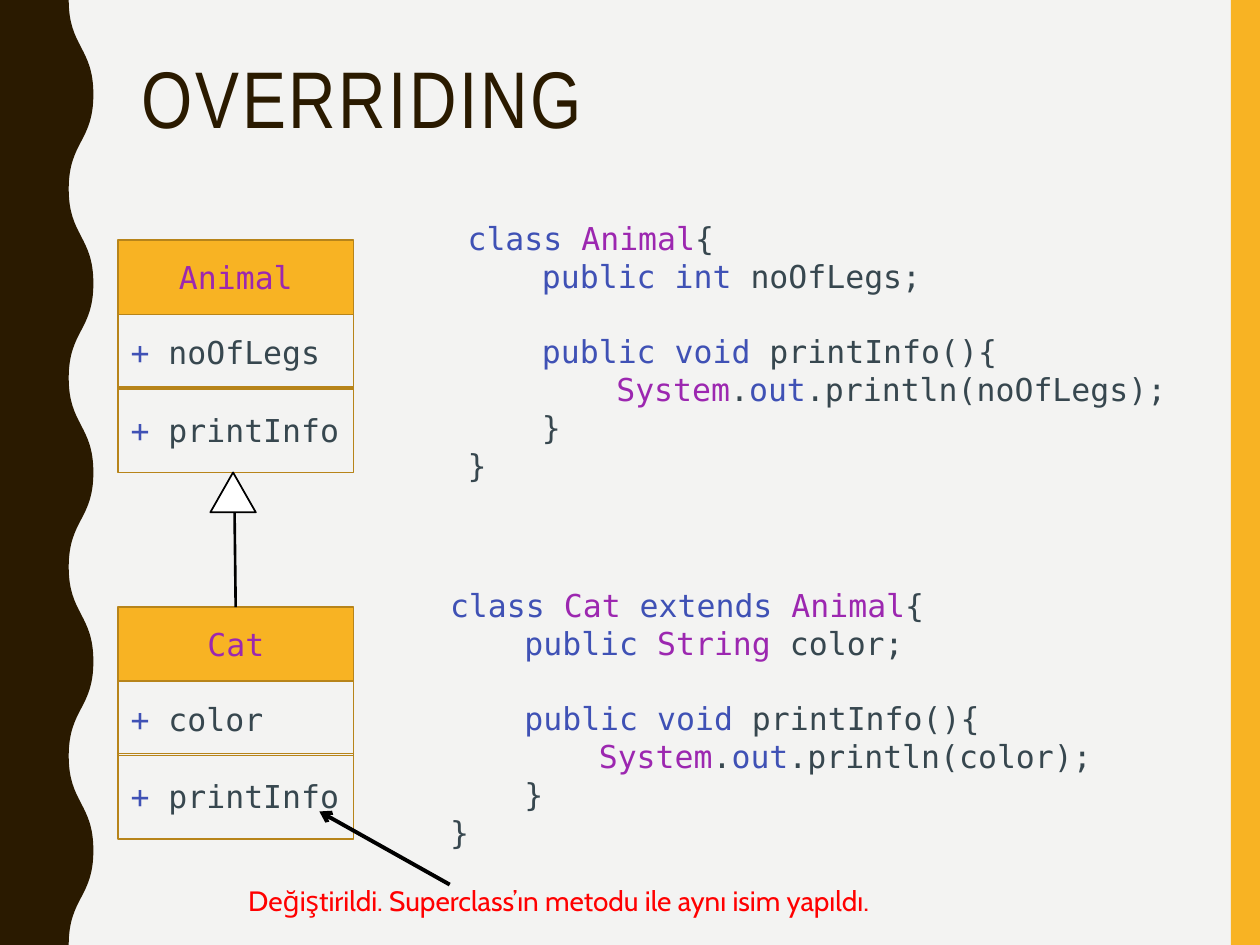
from dataclasses import dataclass

from lxml import etree
from pptx import Presentation
from pptx import util as u
from pptx.dml.color import RGBColor
from pptx.enum import shapes, text
from pptx.oxml.ns import qn

MONO = "DejaVu Sans Mono"
KEYWORD, TYPE, PLAIN = "3F51B5", "9C27B0", "37474F"
AMBER, AMBER_EDGE, BROWN, PAPER = "F8B323", "B7841A", "2A1A00", "F3F3F2"
BLACK, WHITE, RED = "000000", "FFFFFF", "FF0000"
TAB = 42.5


@dataclass
class Span:
    text: str
    color: str = PLAIN


@dataclass
class JavaClass:
    name: str
    field: str
    field_type: Span
    parents: list[Span]
    top: float
    code_left: float
    code_top: float


def rgb(value: str) -> RGBColor:
    return RGBColor.from_string(value)


def style_shape(sp, fill: str | None, line: str | None) -> None:
    sp.shadow.inherit = False
    if fill:
        sp.fill.solid()
        sp.fill.fore_color.rgb = rgb(fill)
    else:
        sp.fill.background()
    if line:
        sp.line.color.rgb = rgb(line)
        sp.line.width = u.Pt(1)
    else:
        sp.line.fill.background()


def add_box(s, kind, left: float, top: float, width: float, height: float,
            fill: str | None = None, line: str | None = None):
    sp = s.shapes.add_shape(kind, u.Pt(left), u.Pt(top), u.Pt(width), u.Pt(height))
    style_shape(sp, fill, line)
    return sp


def add_spans(p, spans: list[Span], size: float = 18, font: str = MONO) -> None:
    for span in spans:
        r = p.add_run()
        r.text = span.text
        r.font.size = u.Pt(size)
        r.font.name = font
        r.font.color.rgb = rgb(span.color)


def add_text(s, left: float, top: float, width: float, height: float):
    tf = s.shapes.add_textbox(u.Pt(left), u.Pt(top), u.Pt(width), u.Pt(height)).text_frame
    tf.word_wrap = True
    return tf


def add_line(s, x1: float, y1: float, x2: float, y2: float, width: float, arrow: bool = False) -> None:
    c = s.shapes.add_connector(shapes.MSO_CONNECTOR.STRAIGHT, u.Pt(x1), u.Pt(y1), u.Pt(x2), u.Pt(y2))
    c.line.color.rgb = rgb(BLACK)
    c.line.width = u.Pt(width)
    sp_pr = c._element.spPr
    if arrow:
        etree.SubElement(sp_pr.find(qn("a:ln")), qn("a:tailEnd"), type="arrow")
    etree.SubElement(sp_pr, qn("a:effectLst"))


def add_wave(s, inner: float = 39.3, outer: float = 53.4, half: float = 54, count: int = 10) -> None:
    xs = [outer if i % 2 else inner for i in range(count + 1)]
    knots = [(u.Pt(x), u.Pt(i * half)) for i, x in enumerate(xs)]
    bottom = u.Pt(count * half)
    builder = s.shapes.build_freeform(*knots[0])
    builder.add_line_segments([*knots[1:], (0, bottom), (0, 0)], close=True)
    sp = builder.convert_to_shape()
    style_shape(sp, BROWN, None)
    segments = list(sp._element.iter(qn("a:lnTo")))[:count]
    for segment, (x1, y1), (x2, y2) in zip(segments, knots, knots[1:]):
        middle = (y1 + y2) // 2
        segment.tag = qn("a:cubicBezTo")
        for i, x in enumerate((x1, x2)):
            segment.insert(i, etree.Element(qn("a:pt"), x=str(x), y=str(middle)))


def add_diagram(s, c: JavaClass) -> None:
    rows = [
        (0, 42.5, AMBER, [Span(c.name, TYPE)]),
        (42.5, 42.5, None, [Span("+", KEYWORD), Span(f" {c.field}")]),
        (83.75, 49, None, [Span("+", KEYWORD), Span(" printInfo")]),
    ]
    for offset, height, fill, spans in rows:
        sp = add_box(s, shapes.MSO_SHAPE.RECTANGLE, 67.5, c.top + offset, 134.5, height, fill, AMBER_EDGE)
        tf = sp.text_frame
        tf.vertical_anchor = text.MSO_ANCHOR.MIDDLE
        p = tf.paragraphs[0]
        p.alignment = text.PP_ALIGN.CENTER if fill else text.PP_ALIGN.LEFT
        add_spans(p, spans)


def add_code(s, c: JavaClass) -> None:
    lines = [
        [Span("class ", KEYWORD), Span(c.name, TYPE), *c.parents, Span("{")],
        [Span("\tpublic ", KEYWORD), c.field_type, Span(f" {c.field};")],
        [Span("\t")],
        [Span("\tpublic void", KEYWORD), Span(" printInfo(){")],
        [Span("\t\tSystem", TYPE), Span("."), Span("out", KEYWORD), Span(f".println({c.field});")],
        [Span("\t}")],
        [Span("}")],
    ]
    tf = add_text(s, c.code_left, c.code_top, 407.5, 152.5)
    tf.margin_left = tf.margin_right = tf.margin_top = tf.margin_bottom = 0
    tf.vertical_anchor = text.MSO_ANCHOR.MIDDLE
    for i, spans in enumerate(lines):
        p = tf.paragraphs[0] if i == 0 else tf.add_paragraph()
        tabs = etree.SubElement(p._p.get_or_add_pPr(), qn("a:tabLst"))
        for n in (1, 2):
            etree.SubElement(tabs, qn("a:tab"), pos=str(u.Pt(n * TAB)), algn="l")
        add_spans(p, spans)


def main() -> None:
    prs = Presentation()
    prs.slide_width, prs.slide_height = u.Pt(720), u.Pt(540)
    s = prs.slides.add_slide(prs.slide_layouts[6])
    s.background.fill.solid()
    s.background.fill.fore_color.rgb = rgb(PAPER)

    add_box(s, shapes.MSO_SHAPE.RECTANGLE, 703.4, 0, 16.6, 540, AMBER)
    add_wave(s)

    p = add_text(s, 74, 30.5, 601, 47).paragraphs[0]
    p.line_spacing = 0.9
    add_spans(p, [Span("OVERRIDING", BROWN)], 45.9, "Arial Narrow")
    p.runs[0].font._element.set("spc", "150")

    classes = [
        JavaClass("Animal", "noOfLegs", Span("int", KEYWORD), [], 137.2, 267.2, 124.5),
        JavaClass("Cat", "color", Span("String", TYPE),
                  [Span(" extends ", KEYWORD), Span("Animal", TYPE)], 346.8, 257.2, 334.2),
    ]
    for c in classes:
        add_diagram(s, c)
        add_code(s, c)

    add_line(s, 134, 289.5, 134.7, 347, 1.5)
    add_box(s, shapes.MSO_SHAPE.ISOSCELES_TRIANGLE, 120.2, 270, 26, 22.8, WHITE, BLACK)
    add_line(s, 257, 505.5, 182.5, 463.7, 2.25, arrow=True)

    note = add_text(s, 134.8, 501.3, 387.5, 26.5)
    add_spans(note.paragraphs[0],
              [Span("Değiştirildi. Superclass’ın metodu ile aynı isim yapıldı.", RED)], 16, "Cabin")

    prs.save("out.pptx")


if __name__ == "__main__":
    main()
